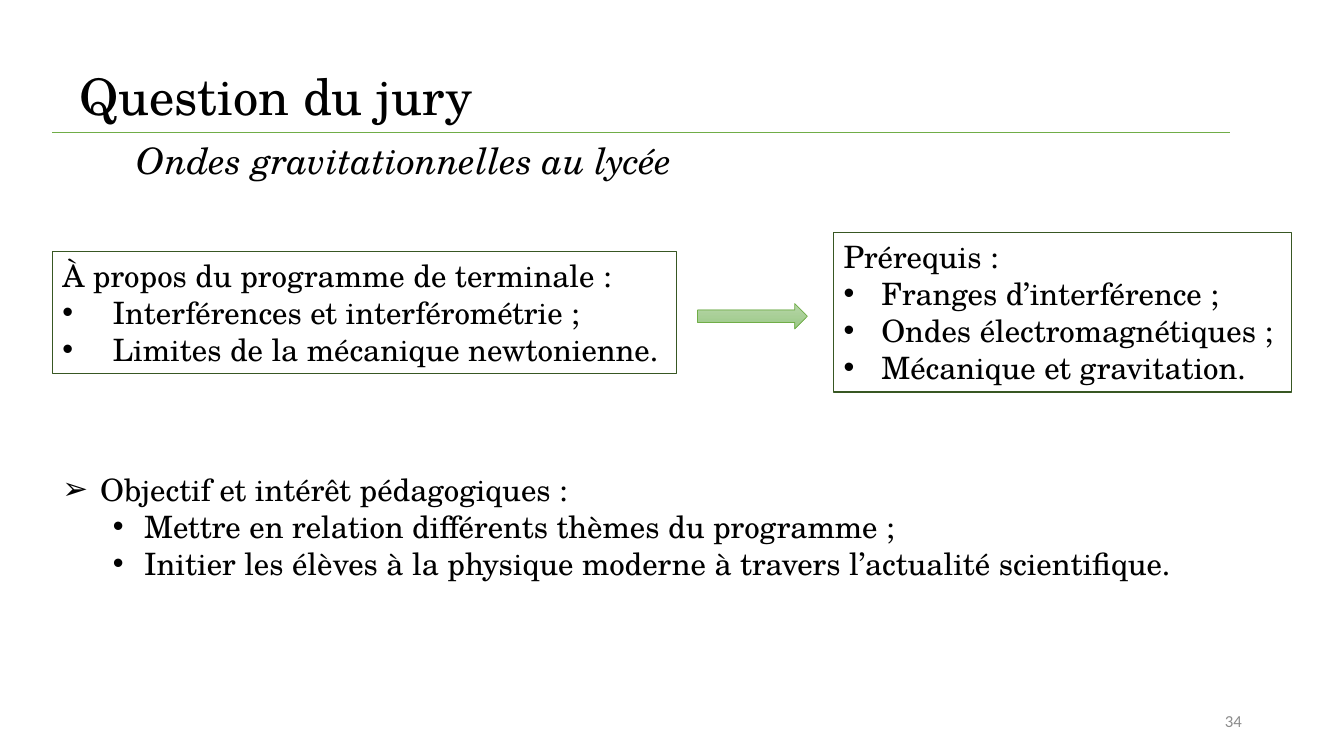
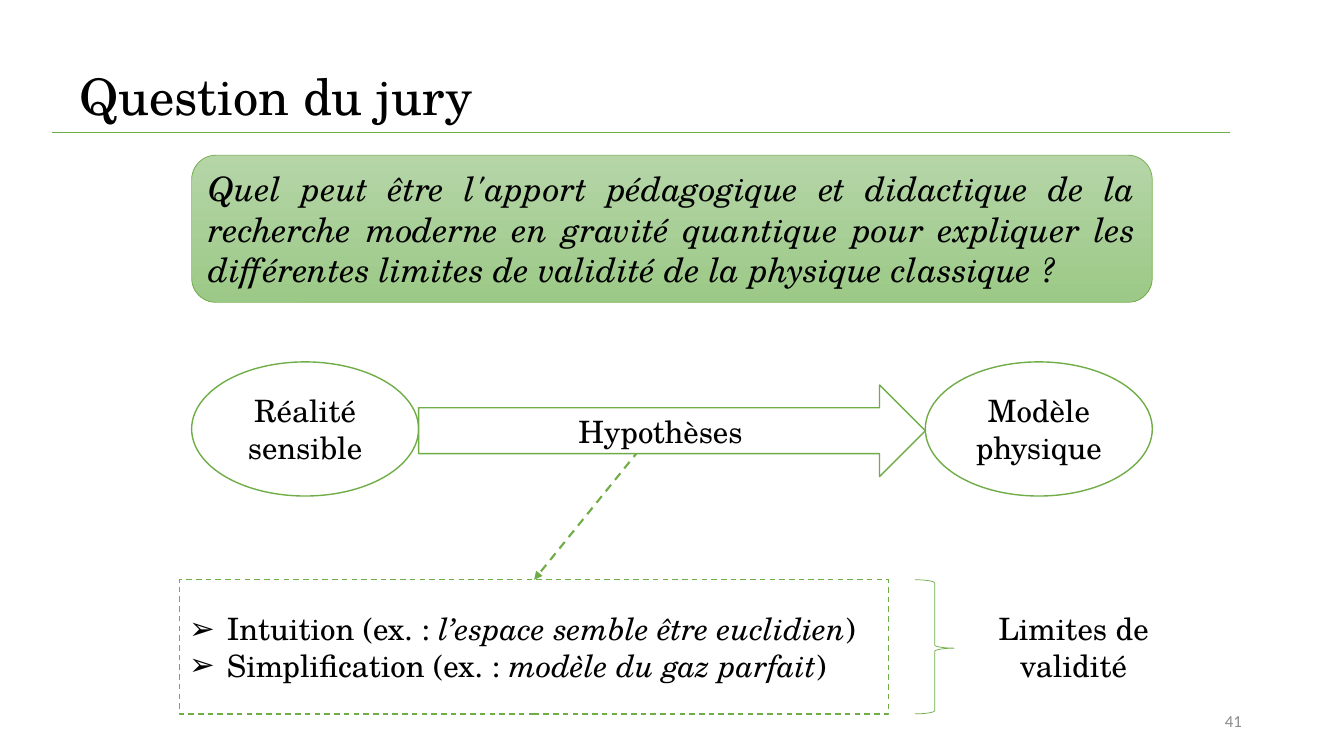
from dataclasses import dataclass

from lxml import etree
from pptx import Presentation
from pptx.dml.color import RGBColor
from pptx.enum.dml import MSO_LINE
from pptx.enum.shapes import MSO_CONNECTOR, MSO_SHAPE
from pptx.enum.text import MSO_ANCHOR, MSO_AUTO_SIZE, PP_ALIGN
from pptx.oxml.ns import qn
from pptx.util import Cm, Pt

LEFT, CENTER, RIGHT, JUSTIFY = (
    PP_ALIGN.LEFT, PP_ALIGN.CENTER, PP_ALIGN.RIGHT, PP_ALIGN.JUSTIFY)
TOP, MIDDLE = MSO_ANCHOR.TOP, MSO_ANCHOR.MIDDLE
RECTANGLE, ROUNDED, OVAL = (
    MSO_SHAPE.RECTANGLE, MSO_SHAPE.ROUNDED_RECTANGLE, MSO_SHAPE.OVAL)
RIGHT_ARROW, RIGHT_BRACE = MSO_SHAPE.RIGHT_ARROW, MSO_SHAPE.RIGHT_BRACE
STRAIGHT, DASH = MSO_CONNECTOR.STRAIGHT, MSO_LINE.DASH
NO_AUTOFIT = MSO_AUTO_SIZE.NONE
CONTENT_LAYOUT, TITLE_LAYOUT = 1, 5


@dataclass(frozen=True)
class Theme:
    font: str = "TeX Gyre Schola"
    number_font: str = "Calibri"
    text: str = "000000"
    number: str = "8C8C8C"
    green: str = "70AD47"
    dark_green: str = "385723"
    white: str = "FFFFFF"
    gradient: tuple = ("B5D5A7", "9CC987")
    title_size: int = 36
    subtitle_size: int = 26
    question_size: int = 24
    body_size: int = 22
    number_size: int = 12
    hairline: float = 0.5
    frame_line: float = 0.75
    diagram_line: float = 1
    arrow_line: float = 1.5


@dataclass(frozen=True)
class Bullet:
    """Bullet sign with its text indent and hanging width in centimetres."""
    sign: str
    indent: float
    hang: float
    level: int = 0


THEME = Theme()
WIDE_DOT = Bullet("•", 1.27, 1.27)
DOT = Bullet("•", 0.95, 0.95)
SUB_DOT = Bullet("•", 2.06, 0.79, 1)
ARROWHEAD = Bullet("➢", 0.95, 0.95)


def color(value):
    return RGBColor.from_string(value)


def add_bullet(para, bullet):
    para.level = bullet.level
    properties = para._p.get_or_add_pPr()
    properties.set("marL", str(Cm(bullet.indent)))
    properties.set("indent", str(-Cm(bullet.hang)))
    etree.SubElement(properties, qn("a:buFont"), typeface="Arial")
    etree.SubElement(properties, qn("a:buChar"), char=bullet.sign)


def write(shape, lines, size=THEME.body_size, align=LEFT, anchor=TOP,
          font=THEME.font, ink=THEME.text):
    """Fill a shape with (text, bullet) lines; *stars* enclose italics."""
    frame = shape.text_frame
    frame.word_wrap = True
    frame.auto_size = NO_AUTOFIT
    frame.vertical_anchor = anchor
    for index, (text, bullet) in enumerate(lines):
        para = frame.add_paragraph() if index else frame.paragraphs[0]
        if bullet:
            add_bullet(para, bullet)
        para.alignment = align
        para.space_before = Pt(0)
        for position, part in enumerate(text.split("*")):
            if not part:
                continue
            span = para.add_run()
            span.text = part
            span.font.name = font
            span.font.size = Pt(size)
            span.font.italic = position % 2 == 1
            span.font.color.rgb = color(ink)


def place(shape, left, top, width, height):
    shape.left, shape.top = Cm(left), Cm(top)
    shape.width, shape.height = Cm(width), Cm(height)


def add_text(page, box, text, **style):
    shape = page.shapes.add_textbox(*map(Cm, box))
    write(shape, [(text, None)], **style)


def draw_line(line, ink, width, dash=None):
    line.color.rgb = color(ink)
    line.width = Pt(width)
    if dash:
        line.dash_style = dash


def add_shape(page, kind, box, fill=None, ink=THEME.green,
              width=THEME.diagram_line, dash=None):
    """Draw a preset shape; fill is None, one colour or a pair for a gradient."""
    shape = page.shapes.add_shape(kind, *map(Cm, box))
    shape.shadow.inherit = False
    if fill is None:
        shape.fill.background()
    elif isinstance(fill, tuple):
        shape.fill.gradient()
        shape.fill.gradient_angle = 270
        for stop, value in zip(shape.fill.gradient_stops, fill):
            stop.color.rgb = color(value)
    else:
        shape.fill.solid()
        shape.fill.fore_color.rgb = color(fill)
    draw_line(shape.line, ink, width, dash)
    return shape


def add_line(page, start, end, width, dash=None, arrow=False):
    connector = page.shapes.add_connector(STRAIGHT, *map(Cm, start + end))
    draw_line(connector.line, THEME.green, width, dash)
    if arrow:
        etree.SubElement(connector.line._get_or_add_ln(), qn("a:tailEnd"),
                         type="triangle")
    etree.SubElement(connector._element.spPr, qn("a:effectLst"))


def add_page(deck, layout, number):
    """Add a slide with the shared title, rule and page number."""
    page = deck.slides.add_slide(deck.slide_layouts[layout])
    add_line(page, (1.32, 3.33), (30.99, 3.33), THEME.hairline)
    title = page.shapes.title
    place(title, 1.75, 1.07, 28.88, 2.84)
    write(title, [("Question du jury", None)], THEME.title_size, anchor=MIDDLE)
    title.text_frame.paragraphs[0].line_spacing = 0.9
    add_text(page, (23.93, 17.65, 7.62, 1.02), str(number),
             size=THEME.number_size, align=RIGHT, anchor=MIDDLE,
             font=THEME.number_font, ink=THEME.number)
    return page


def add_school_page(deck):
    page = add_page(deck, CONTENT_LAYOUT, 34)
    add_text(page, (3.2, 3.35, 29.67, 1.37),
             "*Ondes gravitationnelles au lycée*", size=THEME.subtitle_size)

    frame_style = {"ink": THEME.dark_green, "width": THEME.frame_line}
    programme = add_shape(page, RECTANGLE, (1.32, 6.35, 15.72, 3.07),
                          **frame_style)
    write(programme, [
        ("À propos du programme de terminale :", None),
        ("Interférences et interférométrie ;", WIDE_DOT),
        ("Limites de la mécanique newtonienne.", WIDE_DOT),
    ])
    prerequisites = add_shape(page, RECTANGLE, (21.01, 5.87, 11.53, 4.01),
                              **frame_style)
    write(prerequisites, [
        ("Prérequis :", None),
        ("Franges d’interférence ;", DOT),
        ("Ondes électromagnétiques ;", DOT),
        ("Mécanique et gravitation.", DOT),
    ], align=JUSTIFY)
    add_shape(page, RIGHT_ARROW, (17.58, 7.65, 2.77, 0.64),
              THEME.gradient, width=THEME.hairline)

    goals = page.placeholders[1]
    place(goals, 1.32, 11.73, 30.12, 3.07)
    write(goals, [
        ("Objectif et intérêt pédagogiques :", ARROWHEAD),
        ("Mettre en relation différents thèmes du programme ;", SUB_DOT),
        ("Initier les élèves à la physique moderne à travers "
         "l’actualité scientifique.", SUB_DOT),
    ])


def add_model_page(deck):
    page = add_page(deck, TITLE_LAYOUT, 41)
    question = add_shape(page, ROUNDED, (4.83, 3.91, 24.21, 3.71),
                         THEME.gradient, width=THEME.hairline)
    write(question, [(
        "*Quel peut être l'apport pédagogique et didactique de la recherche "
        "moderne en gravité quantique pour expliquer les différentes limites "
        "de validité de la physique classique ?*", None,
    )], THEME.question_size, JUSTIFY, MIDDLE)

    add_line(page, (16.1, 11.35), (13.46, 14.61), THEME.arrow_line,
             DASH, arrow=True)
    for kind, box, text in (
        (OVAL, (4.83, 9.12, 5.72, 3.38), "Réalité sensible"),
        (OVAL, (23.32, 9.12, 5.72, 3.38), "Modèle physique"),
        (RIGHT_ARROW, (10.55, 9.7, 12.77, 2.31), "Hypothèses"),
    ):
        step = add_shape(page, kind, box, THEME.white)
        write(step, [(text, None)], align=CENTER, anchor=MIDDLE)

    top, height = 14.61, 3.38
    hypotheses = add_shape(page, RECTANGLE, (4.52, top, 17.88, height),
                           THEME.white, dash=DASH)
    write(hypotheses, [
        ("Intuition (ex. : *l’espace semble être euclidien*)", ARROWHEAD),
        ("Simplification (ex. : *modèle du gaz parfait*)", ARROWHEAD),
    ], anchor=MIDDLE)
    brace = add_shape(page, RIGHT_BRACE, (23.06, top, 0.99, height),
                      width=THEME.hairline)
    brace.adjustments[1] = 0.51
    add_text(page, (24.77, top, 4.57, height), "Limites de validité",
             align=CENTER, anchor=MIDDLE)


def main():
    deck = Presentation()
    deck.slide_width, deck.slide_height = Cm(33.87), Cm(19.05)
    add_school_page(deck)
    add_model_page(deck)
    deck.save("out.pptx")


if __name__ == "__main__":
    main()
